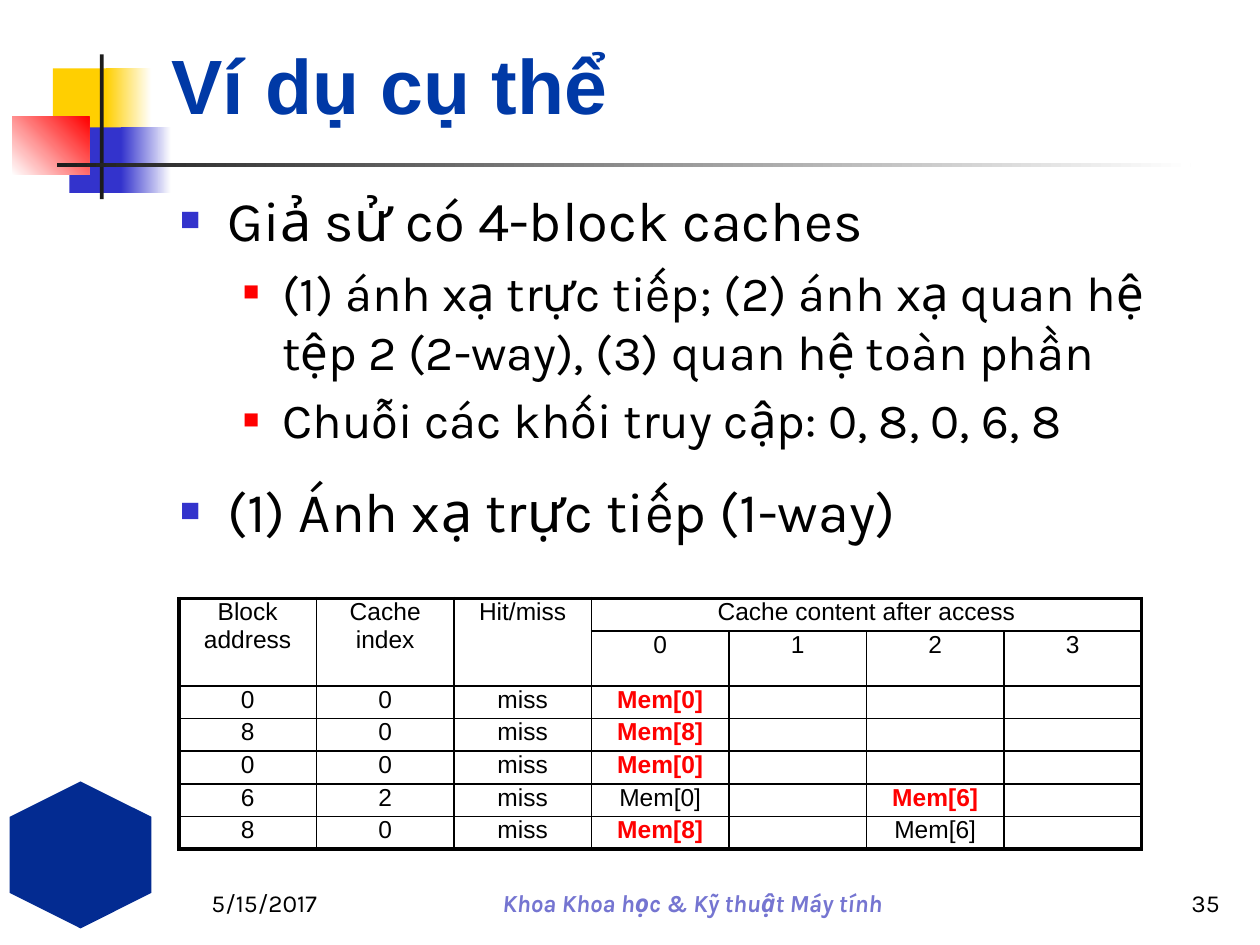
from dataclasses import dataclass

from lxml import etree
from pptx import Presentation
from pptx.dml.color import RGBColor
from pptx.enum.shapes import MSO_SHAPE
from pptx.enum.text import MSO_ANCHOR, MSO_AUTO_SIZE, PP_ALIGN
from pptx.oxml.ns import qn
from pptx.util import Pt

RECTANGLE = MSO_SHAPE.RECTANGLE
HEXAGON = MSO_SHAPE.HEXAGON
LEFT, CENTER, RIGHT = PP_ALIGN.LEFT, PP_ALIGN.CENTER, PP_ALIGN.RIGHT
TOP, BOTTOM = MSO_ANCHOR.TOP, MSO_ANCHOR.BOTTOM
NO_AUTOFIT = MSO_AUTO_SIZE.NONE


@dataclass(frozen=True)
class Theme:
    heading_font: str = "Arial"
    body_font: str = "Karla"
    title: str = "0039A6"
    text: str = "000000"
    footer: str = "7575D1"
    yellow: str = "FFCF01"
    blue: str = "3333CC"
    red: str = "FF0000"
    dark: str = "1C1C1C"
    white: str = "FFFFFF"
    emblem: str = "032B91"
    title_size: int = 44
    list_size: int = 32
    sublist_size: int = 28
    small_size: int = 14
    thin_line: float = 1
    thick_line: float = 2.25


class SlideBuilder:
    def __init__(self, slide, theme):
        self.slide = slide
        self.theme = theme

    def place(self, shape, box):
        for name, value in zip(("left", "top", "width", "height"), box):
            setattr(shape, name, Pt(value))

    def add_text(self, paragraph, text, color, **formats):
        run = paragraph.add_run()
        run.text = text
        for name, value in formats.items():
            setattr(run.font, name, Pt(value) if name == "size" else value)
        run.font.color.rgb = RGBColor.from_string(color)

    def block(self, kind, box, color, end_color=None, angle=0):
        shape = self.slide.shapes.add_shape(kind, *map(Pt, box))
        shape.shadow.inherit = False
        shape.line.fill.background()
        if end_color:
            shape.fill.gradient()
            shape.fill.gradient_angle = angle
            for stop, value in zip(shape.fill.gradient_stops, (color, end_color)):
                stop.color.rgb = RGBColor.from_string(value)
        else:
            shape.fill.solid()
            shape.fill.fore_color.rgb = RGBColor.from_string(color)
        return shape

    def frame(self, shape, anchor):
        settings = {"word_wrap": True, "auto_size": NO_AUTOFIT, "vertical_anchor": anchor}
        for name, value in settings.items():
            setattr(shape.text_frame, name, value)
        return shape.text_frame

    def title(self, box, text):
        shape = self.slide.shapes.title
        self.place(shape, box)
        paragraph = self.frame(shape, BOTTOM).paragraphs[0]
        paragraph.alignment = LEFT
        self.add_text(paragraph, text, self.theme.title, name=self.theme.heading_font,
                      size=self.theme.title_size, bold=True)

    def bullet_list(self, box, items):
        theme = self.theme
        levels = (
            {"margin": 27, "hanging": 27, "color": theme.blue, "scale": 60, "size": theme.list_size},
            {"margin": 58.5, "hanging": 22.5, "color": theme.red, "scale": 55, "size": theme.sublist_size},
        )
        shape = self.slide.placeholders[1]
        self.place(shape, box)
        text_frame = self.frame(shape, TOP)
        for index, (level, space, text) in enumerate(items):
            paragraph = text_frame.add_paragraph() if index else text_frame.paragraphs[0]
            style = levels[level]
            paragraph.level = level
            self.bullet(paragraph, style)
            paragraph.alignment = LEFT
            paragraph.space_before = Pt(space * style["size"])
            self.add_text(paragraph, text, theme.text, name=theme.body_font, size=style["size"])

    def bullet(self, paragraph, style):
        properties = paragraph._p.get_or_add_pPr()
        properties.set("marL", str(Pt(style["margin"])))
        properties.set("indent", str(-Pt(style["hanging"])))
        color = etree.SubElement(properties, qn("a:buClr"))
        etree.SubElement(color, qn("a:srgbClr"), val=style["color"])
        etree.SubElement(properties, qn("a:buSzPct"), val=str(style["scale"] * 1000))
        etree.SubElement(properties, qn("a:buFont"), typeface=self.theme.heading_font)
        etree.SubElement(properties, qn("a:buChar"), char="■")

    def label(self, box, text, alignment, color, **formats):
        shape = self.slide.shapes.add_textbox(*map(Pt, box))
        paragraph = self.frame(shape, BOTTOM).paragraphs[0]
        paragraph.alignment = alignment
        self.add_text(paragraph, text, color, name=self.theme.body_font,
                      size=self.theme.small_size, **formats)

    def table(self, box, rows, merges, highlights):
        row_count, column_count = len(rows), len(rows[0])
        frame = self.slide.shapes.add_table(row_count, column_count, *map(Pt, box))
        table = frame.table
        table.first_row = table.horz_banding = False
        for column in table.columns:
            column.width = Pt(box[2] / column_count)
        for row in table.rows:
            row.height = Pt(box[3] / row_count)
        for start, end in merges:
            table.cell(*start).merge(table.cell(*end))
        for row_index, row in enumerate(rows):
            for column_index, text in enumerate(row):
                cell = table.cell(row_index, column_index)
                outer = {
                    "L": column_index == 0,
                    "R": column_index + cell.span_width == column_count,
                    "T": row_index == 0,
                    "B": row_index + cell.span_height == row_count,
                }
                self.cell(cell, text, outer, (row_index, column_index) in highlights)

    def cell(self, cell, text, outer, highlighted):
        theme = self.theme
        margins = {"margin_left": 7.2, "margin_right": 7.2, "margin_top": 0, "margin_bottom": 0}
        for name, value in margins.items():
            setattr(cell, name, Pt(value))
        properties = cell._tc.get_or_add_tcPr()
        for side, is_outer in outer.items():
            width = theme.thick_line if is_outer else theme.thin_line
            line = etree.SubElement(properties, qn(f"a:ln{side}"), w=str(Pt(width)))
            fill = etree.SubElement(line, qn("a:solidFill"))
            etree.SubElement(fill, qn("a:srgbClr"), val=theme.text)
        cell.fill.background()
        paragraph = cell.text_frame.paragraphs[0]
        paragraph.alignment = CENTER
        if text:
            self.add_text(paragraph, text, theme.red if highlighted else theme.text,
                          name=theme.heading_font, size=theme.small_size, bold=highlighted)
        else:
            etree.SubElement(paragraph._p, qn("a:endParaRPr"), sz=str(theme.small_size * 100))


def main():
    presentation = Presentation()
    presentation.slide_width, presentation.slide_height = Pt(720), Pt(540)
    theme = Theme()
    slide = presentation.slides.add_slide(presentation.slide_layouts[1])
    builder = SlideBuilder(slide, theme)

    blocks = (
        ((30.24, 39, 34.5, 37.5), theme.yellow),
        ((60.5, 39, 26, 37.5), theme.yellow, theme.white),
        ((39.75, 72.75, 33, 37.5), theme.blue),
        ((69, 72.75, 29, 37.5), theme.blue, theme.white),
        ((7, 66.75, 44, 33.25), theme.white, theme.red, 45),
        ((57, 31, 2.25, 82.75), theme.dark),
        ((32.4, 93, 648, 2.25), theme.dark, theme.white),
    )
    for block in blocks:
        builder.block(RECTANGLE, *block)
    emblem = builder.block(HEXAGON, (4, 448, 84, 81), theme.emblem)
    emblem.rotation = 90

    builder.title((90.72, 16.56, 613.44, 61.2), "Ví dụ cụ thể")
    builder.bullet_list((95.76, 102.24, 612, 390.24), (
        (0, 0, "Giả sử có 4-block caches"),
        (1, 0.2, "(1) ánh xạ trực tiếp; (2) ánh xạ quan hệ tệp 2 (2-way), (3) quan hệ toàn phần"),
        (1, 0.2, "Chuỗi các khối truy cập: 0, 8, 0, 6, 8"),
        (0, 0.5, "(1) Ánh xạ trực tiếp (1-way)"),
    ))
    builder.label((113.76, 491.76, 102.24, 36), "5/15/2017", LEFT, theme.text)
    builder.label((221.76, 504, 347.76, 23.76), "Khoa Khoa học & Kỹ thuật Máy tính",
                  CENTER, theme.footer, bold=True, italic=True)
    builder.label((599.76, 491.76, 104.4, 36), "35", RIGHT, theme.text)

    builder.table(
        (102.24, 342, 550.2, 130.34),
        (
            ("Block address", "Cache index", "Hit/miss", "Cache content after access", "", "", ""),
            ("", "", "", "0", "1", "2", "3"),
            ("0", "0", "miss", "Mem[0]", "", "", ""),
            ("8", "0", "miss", "Mem[8]", "", "", ""),
            ("0", "0", "miss", "Mem[0]", "", "", ""),
            ("6", "2", "miss", "Mem[0]", "", "Mem[6]", ""),
            ("8", "0", "miss", "Mem[8]", "", "Mem[6]", ""),
        ),
        [((0, column), (1, column)) for column in range(3)] + [((0, 3), (0, 6))],
        {(2, 3), (3, 3), (4, 3), (5, 5), (6, 3)},
    )
    presentation.save("out.pptx")


if __name__ == "__main__":
    main()
